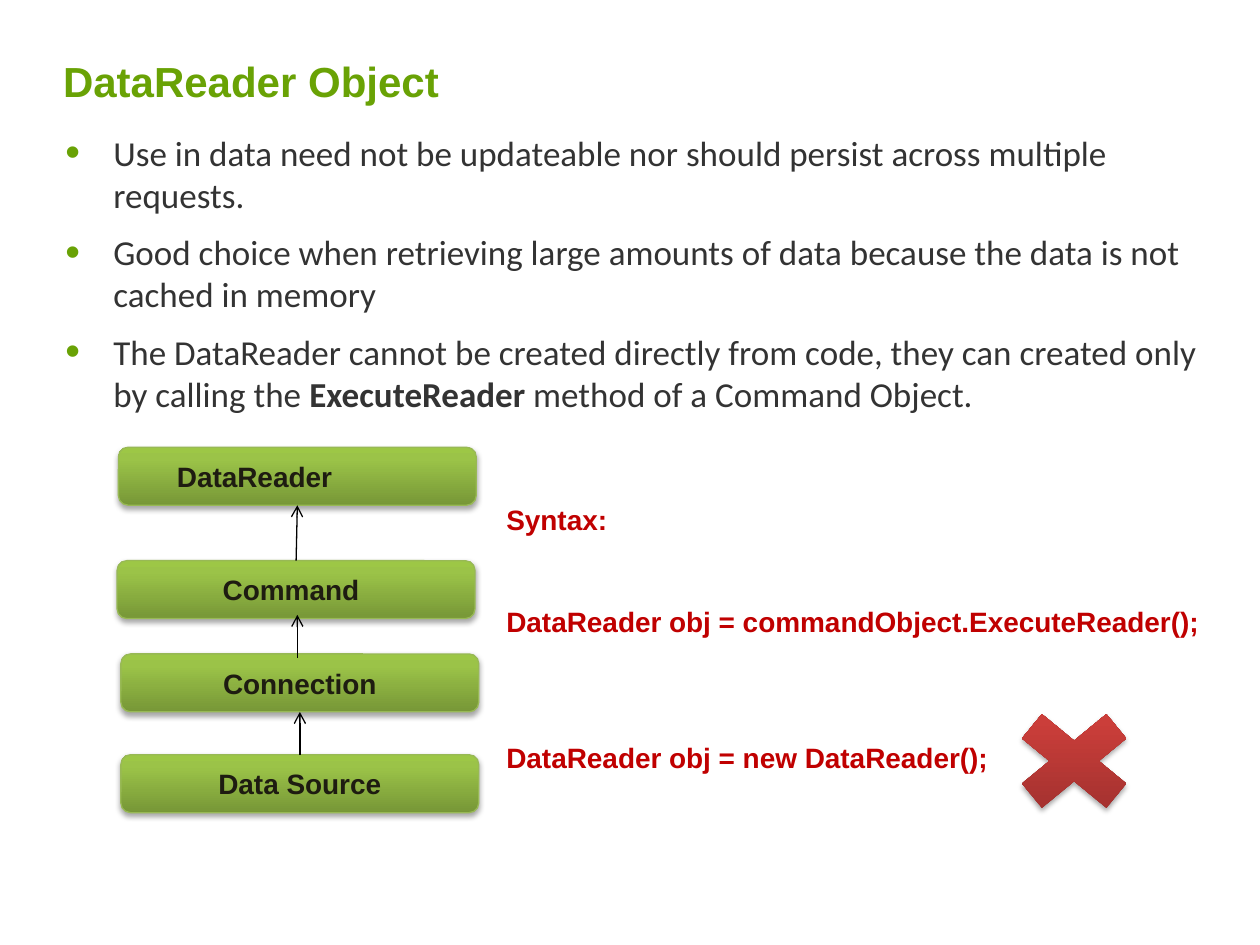
from lxml.etree import SubElement
from pptx import Presentation
from pptx.dml.color import RGBColor
from pptx.enum.shapes import MSO_CONNECTOR, MSO_SHAPE
from pptx.enum.text import MSO_ANCHOR, PP_ALIGN
from pptx.oxml.ns import qn
from pptx.util import Inches, Pt
from copy import deepcopy

WIDTH, HEIGHT = Inches(10), Inches(7.5)
COLS, ROWS = 100, 75
GREEN = RGBColor(0x69, 0xA2, 0x05)
BODY_GREY = RGBColor(0x33, 0x33, 0x33)
LABEL_DARK = RGBColor(0x1E, 0x1C, 0x11)
BOX_LINE = RGBColor(0x98, 0xB9, 0x55)
RED = RGBColor(0xC0, 0x00, 0x00)
BLACK = RGBColor(0, 0, 0)
GREEN_STOPS = (RGBColor(0x77, 0x97, 0x37), RGBColor(0x9B, 0xC3, 0x48), RGBColor(0x9D, 0xC7, 0x46))
RED_STOPS = (RGBColor(0x9C, 0x2F, 0x2D), RGBColor(0xCB, 0x3E, 0x3A), RGBColor(0xCE, 0x3B, 0x37))

BULLETS = [
    [("Use in data need not be updateable nor should persist across multiple requests.", False)],
    [("Good choice when retrieving large amounts of data because the data is not cached in memory", False)],
    [("The DataReader cannot be created directly from code, they can created only by calling the ", False),
     ("ExecuteReader", True), (" method of a Command Object.", False)],
]
BOXES = [("Data Source", 9.6, 59.9, 0), ("Connection", 9.6, 51.9, 0),
         ("Command", 9.3, 44.5, 0.8), ("DataReader", 9.4, 35.5, 6.8)]
SYNTAX = [("Syntax:", 0), ("DataReader obj = commandObject.ExecuteReader();", 39),
          ("DataReader obj = new DataReader();", 58.5)]


def col(n):
    """Return the horizontal length of n grid columns."""
    return round(WIDTH * n / COLS)


def row(n):
    """Return the vertical length of n grid rows."""
    return round(HEIGHT * n / ROWS)


def area(left, top, width, height):
    """Return a grid area as slide lengths."""
    return col(left), row(top), col(width), row(height)


def set_margins(tf, left=0, top=0, right=0, bottom=0):
    """Set the four insets of a text frame in grid units."""
    tf.margin_left, tf.margin_right = col(left), col(right)
    tf.margin_top, tf.margin_bottom = row(top), row(bottom)


def add_run(p, text, size, color, name="Arial", bold=True):
    """Add a formatted run to a paragraph."""
    r = p.add_run()
    r.text = text
    r.font.size, r.font.name, r.font.bold = Pt(size), name, bold
    r.font.color.rgb = color


def next_paragraph(tf, index):
    """Return the first paragraph or append a new one."""
    return tf.add_paragraph() if index else tf.paragraphs[0]


def add_title(s, text):
    """Place and format the title placeholder."""
    sp = s.shapes.title
    sp.left, sp.top, sp.width, sp.height = area(5, 0.2, 90, 8.7)
    tf = sp.text_frame
    set_margins(tf, bottom=0.5)
    tf.vertical_anchor = MSO_ANCHOR.BOTTOM
    p = tf.paragraphs[0]
    p.alignment = PP_ALIGN.LEFT
    add_run(p, text, 24, GREEN)


def set_bullet(p):
    """Give a paragraph a hanging green bullet."""
    pPr = p._p.get_or_add_pPr()
    pPr.set("marL", str(col(3.8)))
    pPr.set("indent", str(-col(3.8)))
    SubElement(SubElement(pPr, qn("a:buClr")), qn("a:srgbClr"), val=str(GREEN))
    SubElement(pPr, qn("a:buSzPct"), val="120000")
    SubElement(pPr, qn("a:buFont"), typeface="Arial")
    SubElement(pPr, qn("a:buChar"), char="•")


def add_bullets(s):
    """Add the bulleted body text."""
    tf = s.shapes.add_textbox(*area(5.2, 10.4, 90, 55.6)).text_frame
    tf.word_wrap = True
    set_margins(tf)
    for i, runs in enumerate(BULLETS):
        p = next_paragraph(tf, i)
        set_bullet(p)
        p.space_before, p.space_after = Pt(5 if i else 0), Pt(4)
        for text, bold in runs:
            add_run(p, text, 20, BODY_GREY, "Calibri", bold)


def add_glossy(s, kind, place, stops, line=None):
    """Add a shape with a vertical gradient and a soft shadow."""
    sp = s.shapes.add_shape(kind, *place)
    sp.fill.gradient()
    sp.fill.gradient_angle = 90
    gs_lst = sp._element.spPr.find(".//" + qn("a:gsLst"))
    gs_lst.append(deepcopy(gs_lst[-1]))
    for stop, color, position in zip(sp.fill.gradient_stops, stops, (0, 0.8, 1)):
        stop.color.rgb = color
        stop.position = position
    if line is None:
        sp.line.fill.background()
    else:
        sp.line.color.rgb, sp.line.width = line, Pt(0.75)
    effects = SubElement(sp._element.spPr, qn("a:effectLst"))
    shadow = SubElement(effects, qn("a:outerShdw"), blurRad=str(Pt(3.1)), dist=str(Pt(1.8)),
                        dir="5400000", rotWithShape="0")
    color = SubElement(shadow, qn("a:srgbClr"), val=str(BLACK))
    SubElement(color, qn("a:alpha"), val="35000")
    return sp


def add_box(s, text, left, top, shift):
    """Add a labelled box, its label moved left by a right inset."""
    sp = add_glossy(s, MSO_SHAPE.ROUNDED_RECTANGLE, area(left, top, 28.4, 4.6), GREEN_STOPS, BOX_LINE)
    tf = sp.text_frame
    tf.word_wrap = True
    set_margins(tf, right=shift)
    tf.vertical_anchor = MSO_ANCHOR.MIDDLE
    p = tf.paragraphs[0]
    p.alignment = PP_ALIGN.CENTER
    add_run(p, text, 16, LABEL_DARK)
    return sp


def add_arrow(s, x, start, end):
    """Add a thin upward arrow."""
    cxn = s.shapes.add_connector(MSO_CONNECTOR.STRAIGHT, col(x), row(start), col(x), row(end))
    cxn.line.color.rgb, cxn.line.width = BLACK, Pt(0.75)
    SubElement(cxn.line._get_or_add_ln(), qn("a:tailEnd"), type="arrow")
    SubElement(cxn._element.spPr, qn("a:effectLst"))
    return cxn


def join(cxn, lower, upper):
    """Join an arrow from the top of one box to the bottom of another."""
    cxn.begin_connect(lower, 0)
    cxn.end_connect(upper, 2)


def add_syntax(s):
    """Add the red syntax lines."""
    tf = s.shapes.add_textbox(*area(39.2, 39.4, 58.2, 27.9)).text_frame
    tf.word_wrap = True
    for i, (text, before) in enumerate(SYNTAX):
        p = next_paragraph(tf, i)
        p.space_before = Pt(before)
        add_run(p, text, 16, RED)


def main():
    """Build and save the slide."""
    prs = Presentation()
    prs.slide_width, prs.slide_height = WIDTH, HEIGHT
    s = prs.slides.add_slide(prs.slide_layouts[5])
    add_title(s, "DataReader Object")
    add_bullets(s)
    source, connection, command, reader = [add_box(s, *box) for box in BOXES]
    join(add_arrow(s, 23.8, 59.9, 56.5), source, connection)
    join(add_arrow(s, 23.5, 44.5, 40.1), command, reader)
    add_arrow(s, 23.6, 52.2, 48.8)
    add_syntax(s)
    add_glossy(s, MSO_SHAPE.MATH_MULTIPLY, area(78.8, 55.1, 12.9, 10.6), RED_STOPS)
    prs.save("out.pptx")


if __name__ == "__main__":
    main()
